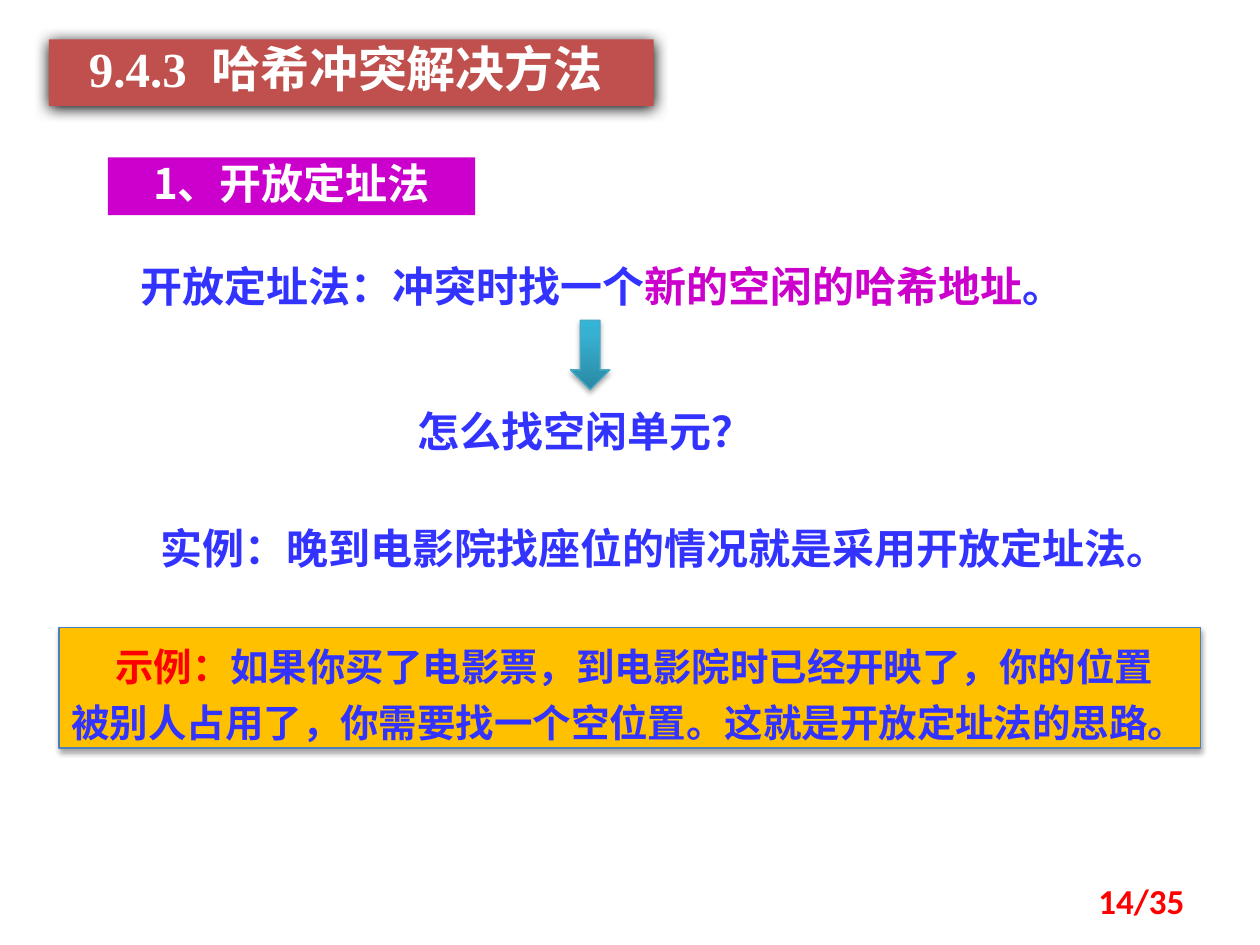
import pptx
import pptx.util
import pptx.dml.color
import pptx.enum.shapes
import pptx.enum.text
import pptx.oxml
import pptx.oxml.ns
from lxml import etree

Pt = pptx.util.Pt
Align = pptx.enum.text.PP_ALIGN
Anchor = pptx.enum.text.MSO_ANCHOR
AutoSize = pptx.enum.text.MSO_AUTO_SIZE
Preset = pptx.enum.shapes.MSO_SHAPE

SANS = "Noto Sans CJK SC"
SERIF = "Times New Roman"
COLORS = {
    "white": "FFFFFF", "blue": "3333FF", "magenta": "CC00CC", "red": "FF0000",
    "brick": "C0504D", "amber": "FFC000", "steel": "4B7EBC", "teal": "46AAC5",
    "teal_dark": "2A88A2", "teal_mid": "37B1D2", "teal_light": "34B4D6",
    "black": "000000",
}
SOFT_SHADOW = (35, 3.1, 1.8)
STRONG_SHADOW = (100, 8.5, 1)


class SlideBuilder:
    def __init__(self, slide):
        self.slide = slide

    def color(self, name):
        return pptx.dml.color.RGBColor.from_string(COLORS[name])

    def element(self, parent, tag, **attributes):
        child = etree.SubElement(parent, pptx.oxml.ns.qn(tag))
        for key, value in attributes.items():
            child.set(key, str(value))
        return child

    def text(self, box, runs, size, align=Align.LEFT, spacing=None, indent=0,
             anchor=Anchor.TOP, grow=True):
        frame = box.text_frame
        frame.word_wrap = True
        frame.auto_size = AutoSize.SHAPE_TO_FIT_TEXT if grow else AutoSize.NONE
        frame.vertical_anchor = anchor
        paragraph = frame.paragraphs[0]
        paragraph.alignment = align
        paragraph.line_spacing = spacing
        if indent:
            paragraph._p.get_or_add_pPr().set("indent", str(Pt(indent)))
        for words, font, color in runs:
            run = paragraph.add_run()
            run.text = words
            run.font.size = Pt(size)
            run.font.bold = True
            run.font.name = font
            run.font.color.rgb = self.color(color)
            self.element(run._r.get_or_add_rPr(), "a:ea", typeface=SANS)

    def label(self, bounds, runs, size, **style):
        box = self.slide.shapes.add_textbox(*map(Pt, bounds))
        self.text(box, runs, size, **style)

    def shape(self, preset, bounds, fill=None, line=None, shadow=None):
        shape = self.slide.shapes.add_shape(preset, *map(Pt, bounds))
        shape.shadow.inherit = False
        if fill:
            shape.fill.solid()
            shape.fill.fore_color.rgb = self.color(fill)
        if line:
            shape.line.color.rgb = self.color(line)
            shape.line.width = Pt(0.75)
        else:
            shape.line.fill.background()
        if shadow:
            self.shadow(shape, *shadow)
        return shape

    def shadow(self, shape, opacity, blur, distance):
        effects = shape._element.spPr.find(pptx.oxml.ns.qn("a:effectLst"))
        outer = self.element(effects, "a:outerShdw", blurRad=Pt(blur),
                             dist=Pt(distance), dir=5400000, rotWithShape=0)
        tint = self.element(outer, "a:srgbClr", val=COLORS["black"])
        self.element(tint, "a:alpha", val=opacity * 1000)

    def gradient(self, shape, stops):
        shape.fill.gradient()
        shape.fill.gradient_angle = 90
        fill = shape._element.spPr.find(pptx.oxml.ns.qn("a:gradFill"))
        stop_list = fill.find(pptx.oxml.ns.qn("a:gsLst"))
        for stop in list(stop_list):
            stop_list.remove(stop)
        for position, name in stops:
            stop = self.element(stop_list, "a:gs", pos=position * 1000)
            self.element(stop, "a:srgbClr", val=COLORS[name])


def main():
    presentation = pptx.Presentation()
    presentation.slide_width = Pt(720)
    presentation.slide_height = Pt(540)
    builder = SlideBuilder(
        presentation.slides.add_slide(presentation.slide_layouts[6]))

    builder.label((73.5, 131, 582, 51), [
        ("开放定址法：冲突时找一个", SERIF, "blue"),
        ("新的空闲的哈希地址", SERIF, "magenta"),
        ("。", SERIF, "blue"),
    ], 24, align=Align.JUSTIFY, spacing=1.5)

    heading = builder.shape(Preset.RECTANGLE, (61.7, 90, 209.8, 33), "magenta")
    builder.text(heading, [("1、开放定址法", SANS, "white")], 24,
                 align=Align.CENTER, spacing=0.9)

    builder.label((213.8, 228.2, 242, 36),
                  [("怎么找空闲单元？", SERIF, "blue")], 24, align=Align.CENTER)

    arrow = builder.shape(Preset.DOWN_ARROW, (326, 183, 22.5, 39.6),
                          line="teal", shadow=SOFT_SHADOW)
    builder.gradient(arrow, [(0, "teal_dark"), (80, "teal_mid"),
                             (100, "teal_light")])

    builder.label((84.4, 295.2, 574, 36), [
        ("实例：晚到电影院找座位的情况就是采用", SANS, "blue"),
        ("开放定址法。", SERIF, "blue"),
    ], 24)

    example = builder.shape(Preset.RECTANGLE, (33.8, 358.5, 652.4, 69),
                            "amber", "steel", SOFT_SHADOW)
    builder.text(example, [
        ("示例：", SANS, "red"),
        ("如果你买了电影票，到电影院时已经开映了，你的位置被别人占用了，"
         "你需要找一个空位置。这就是开放定址法的思路。", SANS, "blue"),
    ], 22, spacing=Pt(32), indent=25)

    title = builder.shape(Preset.RECTANGLE, (28, 22.5, 345.6, 38), "brick",
                          shadow=STRONG_SHADOW)
    builder.text(title, [("9.4.3  哈希冲突解决方法 ", SERIF, "white")], 28,
                 align=Align.CENTER, spacing=0.9)

    builder.label((516, 500.4, 168, 28.8), [("14/35", "Calibri", "red")], 20,
                  align=Align.RIGHT, anchor=Anchor.MIDDLE, grow=False)

    presentation.save("out.pptx")


if __name__ == "__main__":
    main()
